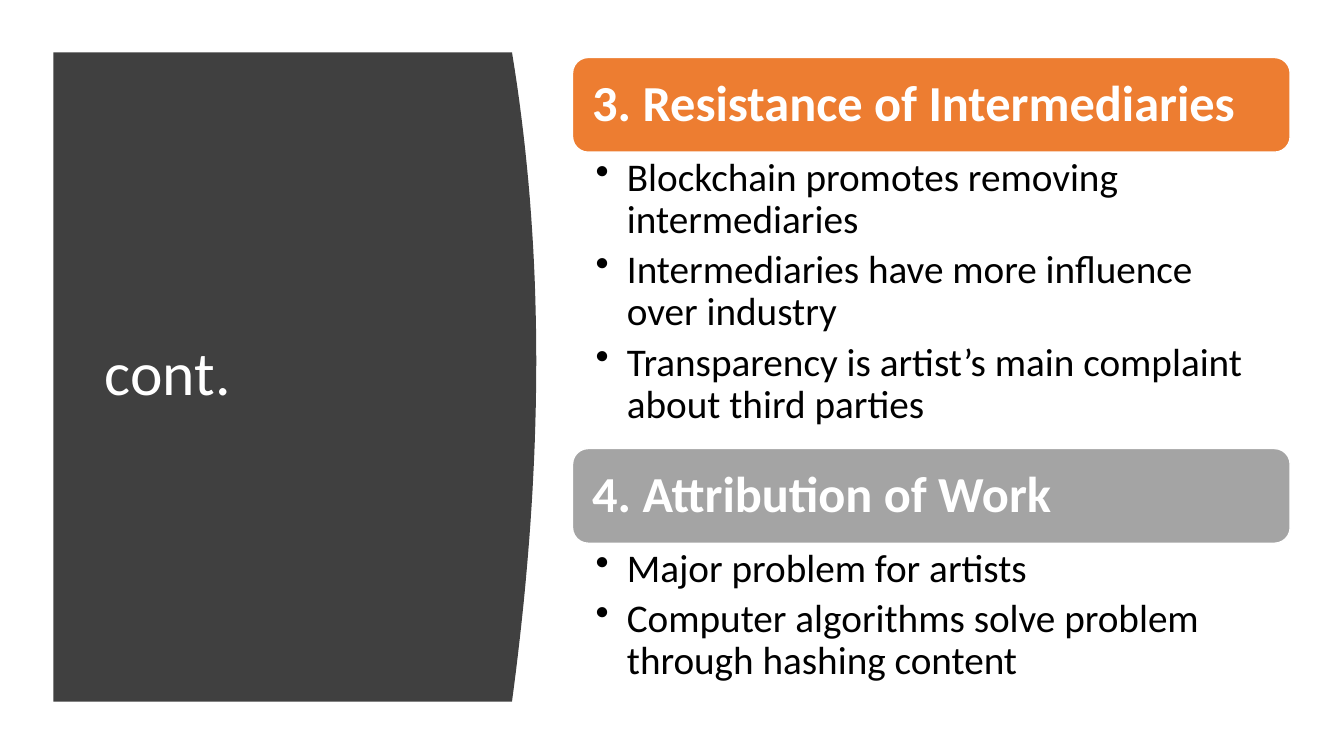
"""Build a slide with a curved title panel and two headed bullet sections."""
from dataclasses import dataclass

from lxml import etree
from pptx import Presentation
from pptx.dml.color import RGBColor
from pptx.enum.shapes import MSO_SHAPE
from pptx.enum.text import MSO_ANCHOR, PP_ALIGN
from pptx.oxml.ns import qn
from pptx.util import Emu, Inches, Pt

ROUNDED = MSO_SHAPE.ROUNDED_RECTANGLE
MIDDLE, TOP = MSO_ANCHOR.MIDDLE, MSO_ANCHOR.TOP
LEFT = PP_ALIGN.LEFT
WHITE = RGBColor(0xFF, 0xFF, 0xFF)
BLACK = RGBColor(0x00, 0x00, 0x00)
CHARCOAL = RGBColor(0x40, 0x40, 0x40)
ORANGE = RGBColor(0xED, 0x7D, 0x31)
GRAY = RGBColor(0xA4, 0xA4, 0xA4)
FONT = "Calibri"
WIDTH, HEIGHT = Inches(13.333), Inches(7.5)
PANEL_LEFT, PANEL_RIGHT, PANEL_TOP, PANEL_BOTTOM = 3.98, 38.1, 6.93, 92.8
BULGE, CURVE_STEPS = 1.8, 40
SECTION_LEFT, SECTION_WIDTH, SECTION_TOP = 42.6, 53.4, 7.6
HEADER_HEIGHT = 12.53


@dataclass(frozen=True)
class Section:
    """A coloured header with the bullets beneath it."""
    title: str
    color: RGBColor
    body_height: float
    bullets: tuple[str, ...]


SECTIONS = (
    Section("3. Resistance of Intermediaries", ORANGE, 39.2, (
        "Blockchain promotes removing intermediaries",
        "Intermediaries have more influence over industry",
        "Transparency is artist’s main complaint about third parties",
    )),
    Section("4. Attribution of Work", GRAY, 20.13, (
        "Major problem for artists",
        "Computer algorithms solve problem through hashing content",
    )),
)


def x(percent: float) -> Emu:
    """Turn a percentage of the slide width into a length."""
    return Emu(round(WIDTH * percent / 100))


def y(percent: float) -> Emu:
    """Turn a percentage of the slide height into a length."""
    return Emu(round(HEIGHT * percent / 100))


def write(s, lines: tuple[str, ...], size: float, color: RGBColor, anchor,
          insets: tuple[float, float, float, float], bold: bool = False) -> None:
    """Fill a shape with evenly styled paragraphs."""
    tf = s.text_frame
    tf.word_wrap = True
    tf.vertical_anchor = anchor
    tf.margin_left, tf.margin_top, tf.margin_right, tf.margin_bottom = map(Inches, insets)
    for i, line in enumerate(lines):
        p = tf.paragraphs[0] if i == 0 else tf.add_paragraph()
        p.text = line
        p.alignment = LEFT
        p.line_spacing = 0.9
        p.space_before = Pt(5.6 if i else 0)
        p.font.name, p.font.size, p.font.bold = FONT, Pt(size), bold
        p.font.color.rgb = color


def add_bullets(s) -> None:
    """Give every paragraph a hanging round bullet."""
    indent = Inches(0.31)
    for p in s.text_frame.paragraphs:
        props = p._p.get_or_add_pPr()
        props.set("marL", str(indent))
        props.set("indent", str(-indent))
        bullet = etree.Element(qn("a:buChar"), char="•")
        props.insert_element_before(bullet, "a:tabLst", "a:defRPr", "a:extLst")


def draw_panel(slide) -> None:
    """Draw the dark panel with its bulging right edge and the title."""
    middle, half = (PANEL_TOP + PANEL_BOTTOM) / 2, (PANEL_BOTTOM - PANEL_TOP) / 2
    edge = []
    for i in range(CURVE_STEPS + 1):
        u = 2 * i / CURVE_STEPS - 1
        bulge = BULGE * (1 - u * u) * (1 - 0.1 * u)
        edge.append((x(PANEL_RIGHT + bulge), y(middle + half * u)))
    builder = slide.shapes.build_freeform(x(PANEL_LEFT), y(PANEL_TOP))
    builder.add_line_segments([*edge, (x(PANEL_LEFT), y(PANEL_BOTTOM))], close=True)
    s = builder.convert_to_shape()
    s.shadow.inherit = False
    s.fill.solid()
    s.fill.fore_color.rgb = CHARCOAL
    s.line.fill.background()
    title = slide.shapes.add_textbox(x(7.05), y(14.8), x(28.05), y(69.87))
    write(title, ("cont.",), 44, WHITE, MIDDLE, (0.1, 0.05, 0.1, 0.05))


def draw_section(slide, section: Section, top: float) -> float:
    """Draw a section and return where the next one starts."""
    s = slide.shapes.add_shape(ROUNDED, x(SECTION_LEFT), y(top),
                               x(SECTION_WIDTH), y(HEADER_HEIGHT))
    s.shadow.inherit = False
    s.fill.solid()
    s.fill.fore_color.rgb = section.color
    s.line.color.rgb = WHITE
    s.line.width = Pt(1)
    write(s, (section.title,), 36, WHITE, MIDDLE, (0.15, 0.15, 0.15, 0.15), bold=True)
    body_top = top + HEADER_HEIGHT
    body = slide.shapes.add_textbox(x(SECTION_LEFT), y(body_top),
                                    x(SECTION_WIDTH), y(section.body_height))
    write(body, section.bullets, 28, BLACK, TOP, (0.23, 0.05, 0.28, 0.05))
    add_bullets(body)
    return body_top + section.body_height


def main() -> None:
    """Build and save the presentation."""
    prs = Presentation()
    prs.slide_width, prs.slide_height = WIDTH, HEIGHT
    slide = prs.slides.add_slide(prs.slide_layouts[6])
    draw_panel(slide)
    top = SECTION_TOP
    for section in SECTIONS:
        top = draw_section(slide, section, top)
    prs.save("out.pptx")


if __name__ == "__main__":
    main()
